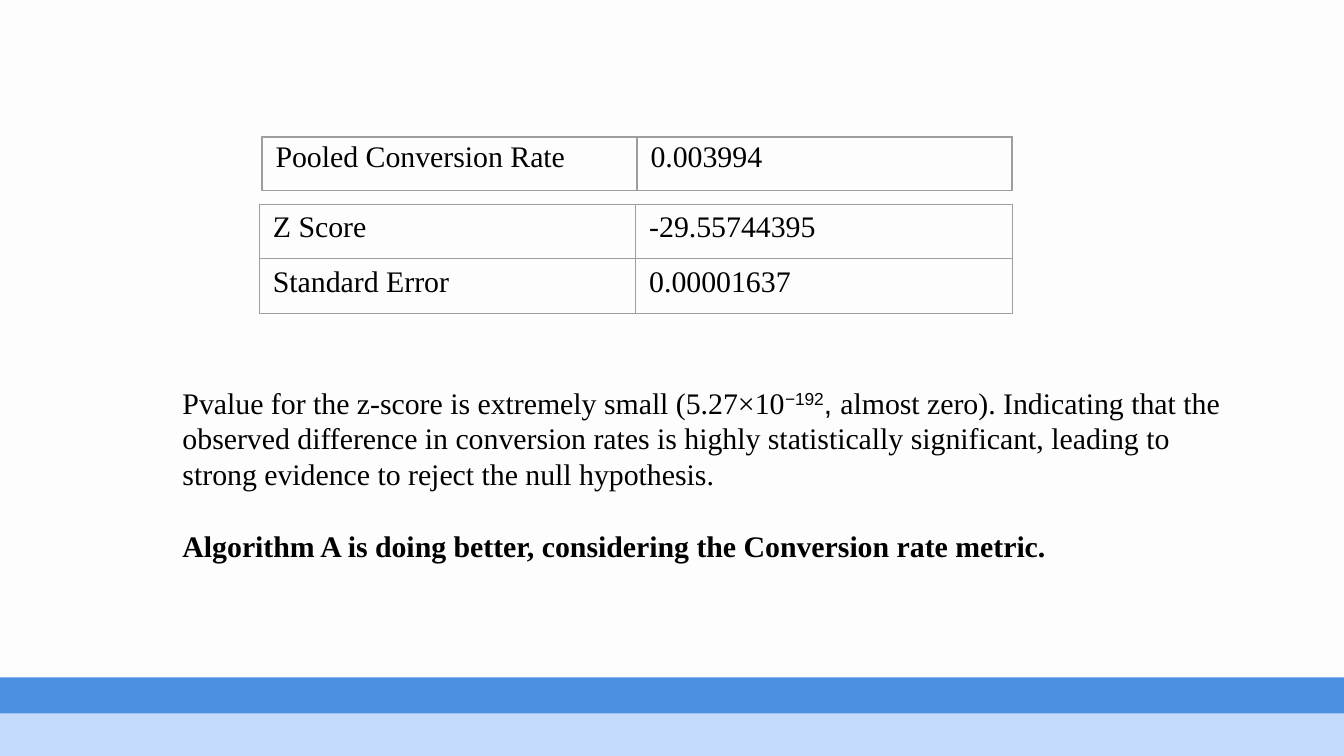
"""Build the slide with the z-test results and the conclusion on conversion rate."""
from dataclasses import dataclass
from typing import Any, Optional

from lxml.etree import SubElement
from pptx import Presentation
from pptx.dml.color import RGBColor
from pptx.enum.shapes import MSO_SHAPE
from pptx.oxml import parse_xml
from pptx.oxml.ns import nsdecls
from pptx.slide import Slide
from pptx.util import Pt

COLORS = {
    "background": "FDFDFD",
    "text": "000000",
    "border": "9E9E9E",
    "blue": "4C91E1",
    "pale": "C4DAFB",
}
SERIF = {"name": "Times New Roman", "size": Pt(16), "bold": False}
SANS = {**SERIF, "name": "Arial"}
BOLD = {**SERIF, "bold": True}
BORDER_SIDES = ("L", "R", "T", "B")


@dataclass(frozen=True)
class Band:
    top: float
    height: float
    color: str


@dataclass(frozen=True)
class Results:
    left: float
    top: float
    column_width: float
    row_height: float
    border_width: float
    rows: tuple[tuple[str, str], ...]
    line_spacing: Optional[float] = None


@dataclass(frozen=True)
class Phrase:
    text: str
    style: dict[str, Any]
    baseline: int = 0


BANDS = (Band(381.2, 43.9, "pale"), Band(362.9, 19.4, "blue"))
TEST_RESULTS = Results(
    139, 109.4, 201.6, 29.2, 0.75,
    (("Z Score", "-29.55744395"), ("Standard Error", "0.00001637")),
)
POOLED_RATE = Results(
    140.4, 73.4, 200.9, 28.8, 0.81,
    (("Pooled Conversion Rate", "0.003994"),), 16.5,
)
CONCLUSION = (
    (
        Phrase("Pvalue for the z-score is extremely small (5.27×10", SERIF),
        Phrase("−192", SANS, 30000),
        Phrase(", ", SANS),
        Phrase("almost zero). Indicating that the observed difference in conversion "
               "rates is highly statistically significant, leading to strong evidence "
               "to reject the null hypothesis.", SERIF),
    ),
    (Phrase("Algorithm A is doing better, considering the Conversion rate metric.", BOLD),),
)


def rgb(color: str) -> RGBColor:
    """Return the named colour."""
    return RGBColor.from_string(COLORS[color])


def add_phrase(paragraph: Any, phrase: Phrase) -> None:
    """Append a styled run to a paragraph."""
    run = paragraph.add_run()
    run.text = phrase.text
    for attribute, value in phrase.style.items():
        setattr(run.font, attribute, value)
    run.font.color.rgb = rgb("text")
    if phrase.baseline:
        run.font._element.set("baseline", str(phrase.baseline))


def draw_band(slide: Slide, band: Band) -> None:
    """Draw a footer band across the slide."""
    stripe = slide.shapes.add_shape(
        MSO_SHAPE.RECTANGLE, Pt(-0.7), Pt(band.top), Pt(721.4), Pt(band.height))
    stripe.shadow.inherit = False
    stripe.fill.solid()
    stripe.fill.fore_color.rgb = rgb(band.color)
    stripe.line.fill.background()


def add_borders(cell: Any, width: float) -> None:
    """Outline a table cell."""
    properties = cell._tc.get_or_add_tcPr()
    for position, side in enumerate(BORDER_SIDES):
        border = parse_xml(f'<a:ln{side} {nsdecls("a")} w="{int(Pt(width))}"><a:solidFill/></a:ln{side}>')
        SubElement(border[0], border[0].tag.replace("solidFill", "srgbClr"), val=COLORS["border"])
        properties.insert(position, border)


def draw_results(slide: Slide, results: Results) -> None:
    """Draw a table of measures and their values."""
    row_count, column_count = len(results.rows), len(results.rows[0])
    table = slide.shapes.add_table(
        row_count, column_count, Pt(results.left), Pt(results.top),
        Pt(results.column_width * column_count), Pt(results.row_height * row_count)).table
    table.first_row = table.horz_banding = False
    for row, entries in zip(table.rows, results.rows):
        row.height = Pt(results.row_height)
        for cell, entry in zip(row.cells, entries):
            cell.fill.background()
            add_borders(cell, results.border_width)
            paragraph = cell.text_frame.paragraphs[0]
            if results.line_spacing:
                paragraph.line_spacing = Pt(results.line_spacing)
            add_phrase(paragraph, Phrase(entry, SERIF))


def draw_conclusion(slide: Slide) -> None:
    """Write the reading of the p-value and the verdict."""
    frame = slide.shapes.add_textbox(Pt(90.7), Pt(202.3), Pt(573.8), Pt(104.4)).text_frame
    frame.word_wrap = True
    for number, phrases in enumerate(CONCLUSION):
        paragraph = frame.add_paragraph() if number else frame.paragraphs[0]
        if number:
            paragraph.space_before = Pt(19.2)
        for phrase in phrases:
            add_phrase(paragraph, phrase)


def main() -> None:
    """Assemble and save the slide."""
    deck = Presentation()
    deck.slide_width, deck.slide_height = Pt(720), Pt(405)
    slide = deck.slides.add_slide(deck.slide_layouts[6])
    slide.background.fill.solid()
    slide.background.fill.fore_color.rgb = rgb("background")
    for band in BANDS:
        draw_band(slide, band)
    draw_results(slide, TEST_RESULTS)
    draw_conclusion(slide)
    draw_results(slide, POOLED_RATE)
    deck.save("out.pptx")


if __name__ == "__main__":
    main()
